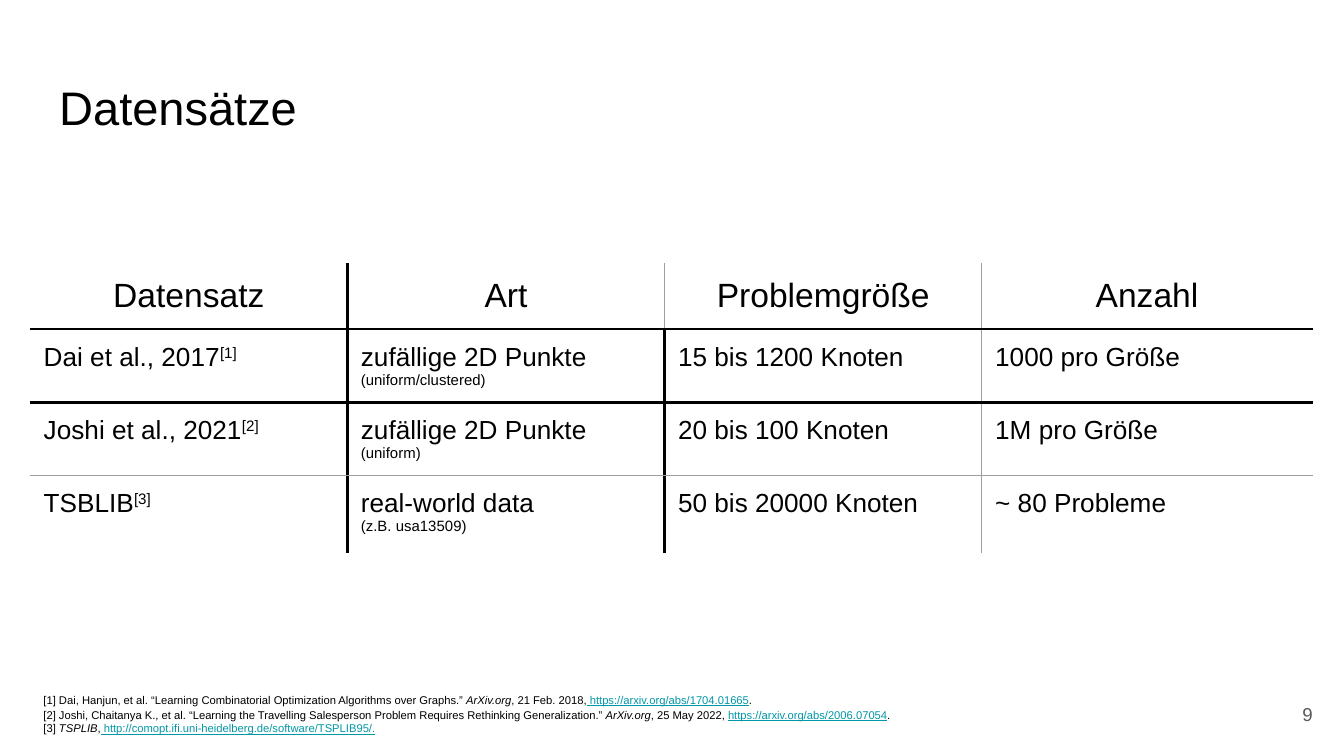
from dataclasses import dataclass

from lxml.etree import SubElement
from pptx import Presentation
from pptx.dml.color import RGBColor
from pptx.enum.text import MSO_ANCHOR, MSO_AUTO_SIZE, PP_ALIGN
from pptx.oxml.ns import qn
from pptx.util import Pt

EMU_PER_PX = 4572  # 200 px to the inch


@dataclass(frozen=True)
class Theme:
    font: str = "Arial"
    text: str = "000000"
    link: str = "0097A7"
    muted: str = "595959"
    white: str = "FFFFFF"
    grid: str = "9E9E9E"
    title_size: float = 25.2
    header_size: int = 18
    cell_size: int = 14
    note_size: int = 8
    source_size: int = 6
    number_size: int = 10


THEME = Theme()
EDGE, STRONG, LIGHT = (THEME.white, 0.75), (THEME.text, 1.5), (THEME.grid, 0.75)
ROW_RULES = [EDGE, STRONG, STRONG, LIGHT, EDGE]
HEADER_COLUMN_RULES = [EDGE, STRONG, LIGHT, LIGHT, EDGE]
BODY_COLUMN_RULES = [EDGE, STRONG, STRONG, LIGHT, EDGE]

HEADERS = ["Datensatz", "Art", "Problemgröße", "Anzahl"]
DATASETS = [
    ("Dai et al., 2017", "zufällige 2D Punkte", "(uniform/clustered)",
     "15 bis 1200 Knoten", "1000 pro Größe"),
    ("Joshi et al., 2021", "zufällige 2D Punkte", "(uniform)",
     "20 bis 100 Knoten", "1M pro Größe"),
    ("TSBLIB", "real-world data", "(z.B. usa13509)",
     "50 bis 20000 Knoten", "~ 80 Probleme"),
]
# Each source: citation, publication, date, link, ending
SOURCES = [
    ("[1] Dai, Hanjun, et al. “Learning Combinatorial Optimization Algorithms over Graphs.” ",
     "ArXiv.org", ", 21 Feb. 2018,", " https://arxiv.org/abs/1704.01665", "."),
    ("[2] Joshi, Chaitanya K., et al. “Learning the Travelling Salesperson Problem "
     "Requires Rethinking Generalization.” ",
     "ArXiv.org", ", 25 May 2022, ", "https://arxiv.org/abs/2006.07054", "."),
    ("[3] ", "TSPLIB", ",",
     " http://comopt.ifi.uni-heidelberg.de/software/TSPLIB95/.", ""),
]


def px(*lengths):
    return [length * EMU_PER_PX for length in lengths]


def add_run(paragraph, text, size, color=THEME.text):
    run = paragraph.add_run()
    run.text = text
    run.font.name = THEME.font
    run.font.size = Pt(size)
    run.font.color.rgb = RGBColor.from_string(color)
    return run


def set_insets(holder, inset=20):
    (holder.margin_left, holder.margin_top,
     holder.margin_right, holder.margin_bottom) = px(*[inset] * 4)


def add_title(slide, text):
    title = slide.shapes.title
    title.left, title.top, title.width, title.height = px(68, 97, 1864, 126)
    frame = title.text_frame
    set_insets(frame)
    frame.auto_size = MSO_AUTO_SIZE.NONE
    frame.vertical_anchor = MSO_ANCHOR.TOP
    frame.paragraphs[0].alignment = PP_ALIGN.LEFT
    add_run(frame.paragraphs[0], text, THEME.title_size)


def add_text_frame(slide, *box):
    frame = slide.shapes.add_textbox(*px(*box)).text_frame
    frame.word_wrap = True
    set_insets(frame)
    return frame


def rule_cell(cell, row, column):
    """Draw the four borders of a cell and leave it unfilled."""
    properties = cell._tc.get_or_add_tcPr()
    column_rules = BODY_COLUMN_RULES if row else HEADER_COLUMN_RULES
    sides = {"L": column_rules[column], "R": column_rules[column + 1],
             "T": ROW_RULES[row], "B": ROW_RULES[row + 1]}
    for side, (color, width) in sides.items():
        line = SubElement(properties, qn(f"a:ln{side}"), w=str(Pt(width)))
        fill = SubElement(line, qn("a:solidFill"))
        SubElement(fill, qn("a:srgbClr"), val=color)
    cell.fill.background()


def fill_dataset_row(cells, number, dataset):
    name, kind, note, size, count = dataset
    for cell, text in zip(cells, (name, kind, size, count)):
        add_run(cell.text_frame.paragraphs[0], text, THEME.cell_size)
    marker = add_run(cells[0].text_frame.paragraphs[0], f"[{number}]", THEME.cell_size)
    marker._r.get_or_add_rPr().set("baseline", "30000")
    add_run(cells[1].text_frame.add_paragraph(), note, THEME.note_size)


def add_dataset_table(slide):
    widths, heights = px(472, 472, 472, 492), px(97, 108, 108, 116)
    table = slide.shapes.add_table(
        len(heights), len(widths), *px(45, 393), sum(widths), sum(heights)).table
    table.first_row = table.horz_banding = False
    for column, width in zip(table.columns, widths):
        column.width = width
    for row_index, height in enumerate(heights):
        table.rows[row_index].height = height
        for column_index in range(len(widths)):
            cell = table.cell(row_index, column_index)
            set_insets(cell)
            rule_cell(cell, row_index, column_index)

    for cell, header in zip(table.rows[0].cells, HEADERS):
        heading = cell.text_frame.paragraphs[0]
        heading.alignment = PP_ALIGN.CENTER
        add_run(heading, header, THEME.header_size)
    for number, dataset in enumerate(DATASETS, 1):
        fill_dataset_row(list(table.rows[number].cells), number, dataset)


def add_sources(slide):
    frame = add_text_frame(slide, 45, 996, 1908, 118)
    frame.margin_top = px(35)[0]
    for index, (citation, publication, date, link, ending) in enumerate(SOURCES):
        entry = frame.add_paragraph() if index else frame.paragraphs[0]
        add_run(entry, citation, THEME.source_size)
        add_run(entry, publication, THEME.source_size).font.italic = True
        add_run(entry, date, THEME.source_size)
        add_run(entry, link, THEME.source_size, THEME.link).font.underline = True
        if ending:
            add_run(entry, ending, THEME.source_size)
    frame.paragraphs[0].space_after = Pt(1)


def add_slide_number(slide, number):
    frame = add_text_frame(slide, 1853, 1020, 120, 86)
    frame.vertical_anchor = MSO_ANCHOR.MIDDLE
    frame.paragraphs[0].alignment = PP_ALIGN.RIGHT
    add_run(frame.paragraphs[0], number, THEME.number_size, THEME.muted)


def main():
    presentation = Presentation()
    presentation.slide_width, presentation.slide_height = px(2000, 1125)
    slide = presentation.slides.add_slide(presentation.slide_layouts[5])
    add_title(slide, "Datensätze")
    add_dataset_table(slide)
    add_sources(slide)
    add_slide_number(slide, "9")
    presentation.save("out.pptx")


if __name__ == "__main__":
    main()
